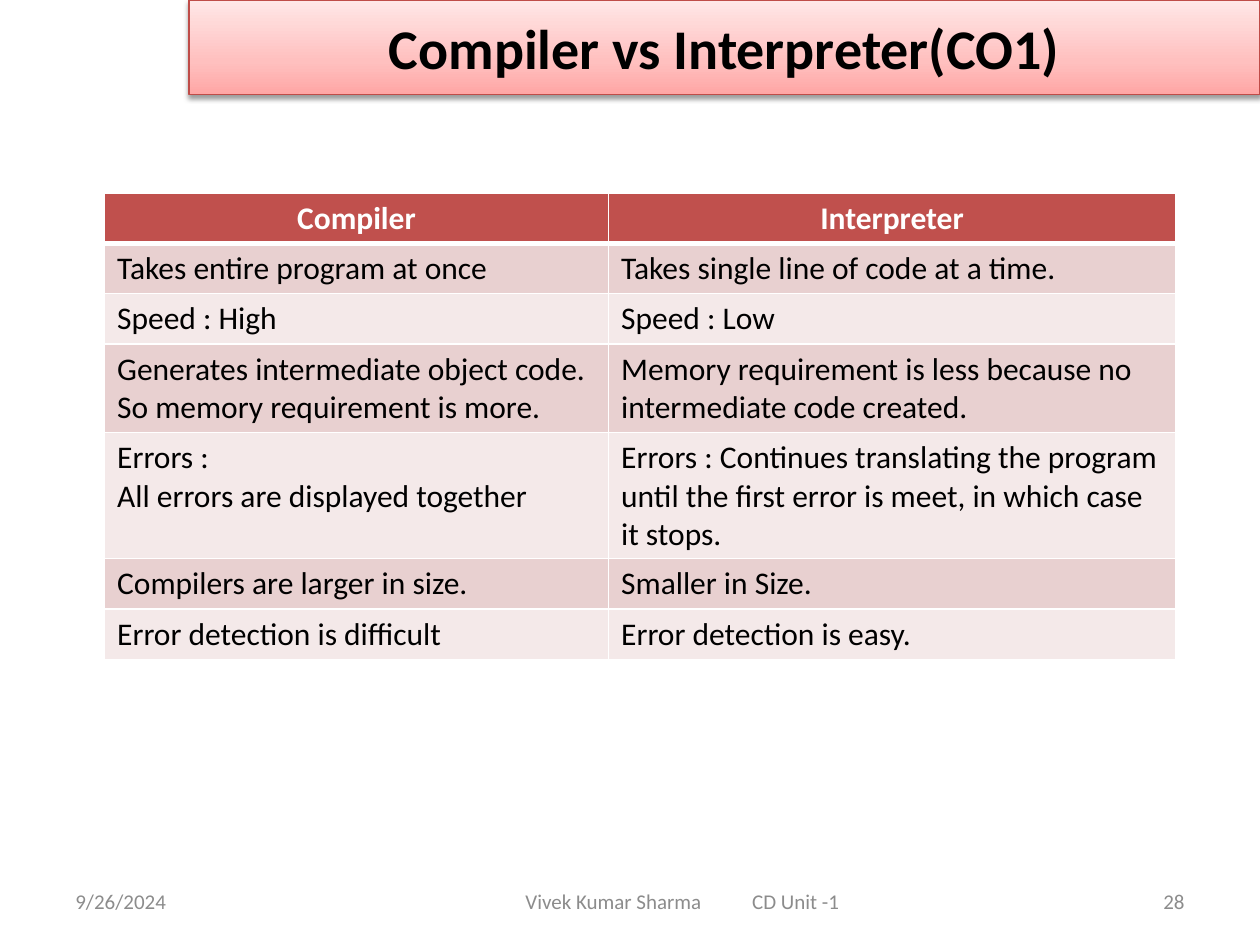
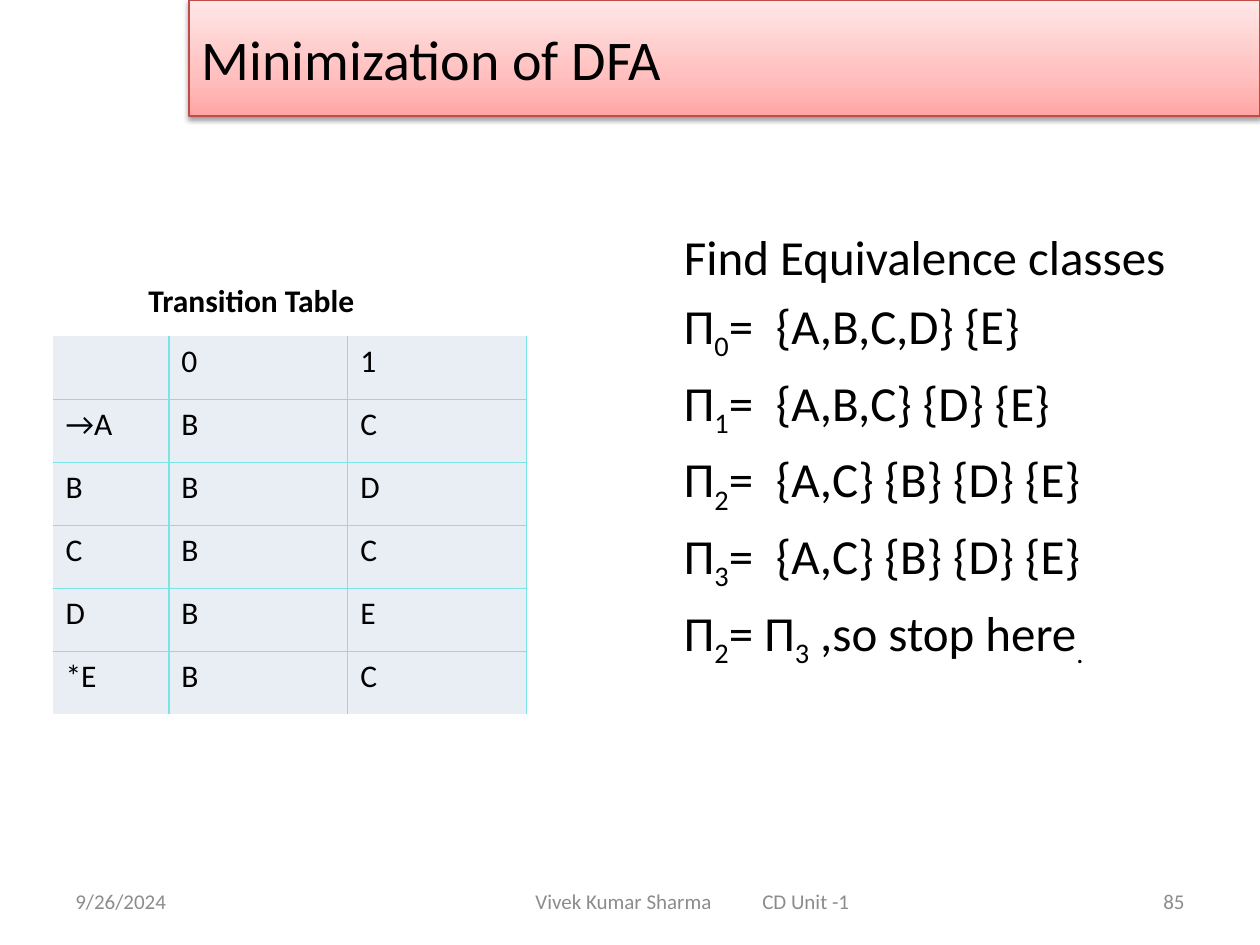
import dataclasses
import typing

import lxml.etree
import pptx
import pptx.dml.color
import pptx.enum.text
import pptx.oxml
import pptx.oxml.ns
import pptx.util

Inches = pptx.util.Inches
Pt = pptx.util.Pt
Align = pptx.enum.text.PP_ALIGN
Anchor = pptx.enum.text.MSO_ANCHOR
qn = pptx.oxml.ns.qn
NS = 'xmlns:a="http://schemas.openxmlformats.org/drawingml/2006/main"'
FONT = "Calibri"
COLORS = {
    "text": "000000",
    "white": "FFFFFF",
    "footer": "8C8C8C",
    "band_line": "BF4C48",
    "header": "C0504D",
    "row_dark": "E8D0D0",
    "row_light": "F4E9E9",
    "grid": "7BE5E5",
    "grid_fill": "E9EDF4",
}
BAND_STOPS = ((0, "FFA6A5"), (35, "FFC0BF"), (100, "FFE7E7"))


@dataclasses.dataclass
class Style:
    size: float
    color: str = "text"
    bold: bool = False
    align: Align = Align.LEFT


@dataclasses.dataclass
class Box:
    left: float
    top: float
    width: float
    height: float

    def emu(self) -> list[int]:
        return [Inches(v) for v in (self.left, self.top, self.width, self.height)]


@dataclasses.dataclass
class Page:
    title: str
    title_style: Style
    band_height: float
    number: str
    footer: Box


@dataclasses.dataclass
class Cell:
    text: str
    style: Style
    fill: str
    borders: dict[str, tuple[str, float]]


FOOTER = Style(12, "footer")
NUMBER = Style(12, "footer", align=Align.RIGHT)
BODY = Style(28)
CELL = Style(18)
CELL_HEADER = Style(18, "white", True, Align.CENTER)
CAPTION = Style(18, bold=True)

COMPARISON = (
    ("Compiler", "Interpreter"),
    ("Takes entire program at once", "Takes single line of code at a time."),
    ("Speed : High", "Speed : Low"),
    ("Generates intermediate object code. So memory requirement is more.",
     "Memory requirement is less because no intermediate code created."),
    ("Errors :\nAll errors are displayed together",
     "Errors : Continues translating the program until the first error is meet, "
     "in which case it stops."),
    ("Compilers are larger in size.", "Smaller in Size."),
    ("Error detection is difficult", "Error detection is easy."),
)
TRANSITIONS = (
    ("", "0", "1"),
    ("→A", "B", "C"),
    ("B", "B", "D"),
    ("C", "B", "C"),
    ("D", "B", "E"),
    ("*E", "B", "C"),
)
EQUIVALENCE_LINES = (
    ("Find Equivalence classes",),
    ("Π", "0", "=\t{A,B,C,D} {E}"),
    ("Π", "1", "=\t{A,B,C} {D} {E}"),
    ("Π", "2", "=\t{A,C} {B} {D} {E}"),
    ("Π", "3", "=\t{A,C} {B} {D} {E}"),
    ("Π", "2", "= Π", "3", " ,so stop here", "."),
)


def rgb(name: str) -> pptx.dml.color.RGBColor:
    return pptx.dml.color.RGBColor.from_string(COLORS[name])


def add_run(p: typing.Any, text: str, style: Style, subscript: bool = False) -> None:
    r = p.add_run()
    r.text = text
    r.font.name = FONT
    r.font.size = Pt(style.size)
    r.font.bold = style.bold
    r.font.color.rgb = rgb(style.color)
    if subscript:
        r.font._element.set("baseline", "-25000")


def add_tab(p: typing.Any, position: float) -> None:
    p._p.get_or_add_pPr().append(pptx.oxml.parse_xml(
        f'<a:tabLst {NS}><a:tab pos="{Inches(position)}" algn="l"/></a:tabLst>'))


def write(tf: typing.Any, text: str, style: Style, tab: float = 0) -> None:
    for i, line in enumerate(text.split("\n")):
        p = tf.add_paragraph() if i else tf.paragraphs[0]
        p.alignment = style.align
        if tab:
            add_tab(p, tab)
        if line:
            add_run(p, line, style)


def add_text_box(s: typing.Any, box: Box, anchor: Anchor = Anchor.TOP,
                 wrap: bool = True) -> typing.Any:
    tf = s.shapes.add_textbox(*box.emu()).text_frame
    tf.word_wrap = wrap
    tf.vertical_anchor = anchor
    return tf


def style_band(sp: typing.Any) -> None:
    sp.fill.gradient()
    sp.fill.gradient_angle = 90
    stops = sp._element.spPr.find(qn("a:gradFill")).find(qn("a:gsLst"))
    for stop in list(stops):
        stops.remove(stop)
    for pos, color in BAND_STOPS:
        gs = lxml.etree.SubElement(stops, qn("a:gs"), pos=str(pos * 1000))
        lxml.etree.SubElement(gs, qn("a:srgbClr"), val=color)
    sp.line.color.rgb = rgb("band_line")
    sp.line.width = Pt(0.75)
    sp._element.spPr.append(pptx.oxml.parse_xml(
        f'<a:effectLst {NS}><a:outerShdw blurRad="{Pt(3.1)}" dist="{Pt(1.6)}" '
        f'dir="5400000" rotWithShape="0"><a:srgbClr val="{COLORS["text"]}">'
        '<a:alpha val="38000"/></a:srgbClr></a:outerShdw></a:effectLst>'))


def add_page(prs: typing.Any, page: Page) -> typing.Any:
    s = prs.slides.add_slide(prs.slide_layouts[5])
    title = s.shapes.title
    title.left, title.top, title.width, title.height = Box(1.5, 0, 8.5, page.band_height).emu()
    style_band(title)
    tf = title.text_frame
    tf.auto_size = pptx.enum.text.MSO_AUTO_SIZE.NONE
    tf.vertical_anchor = Anchor.MIDDLE
    write(tf, page.title, page.title_style)

    write(add_text_box(s, Box(0.5, 6.95, 2.33, 0.4), Anchor.MIDDLE), "9/26/2024", FOOTER)
    write(add_text_box(s, Box(7.17, 6.95, 2.33, 0.4), Anchor.MIDDLE), page.number, NUMBER)
    tf = add_text_box(s, page.footer, Anchor.MIDDLE)
    tf.margin_left = Inches(page.footer.width / 2 - 1.25)
    write(tf, "Vivek Kumar Sharma\tCD Unit -1", FOOTER, tab=1.8)
    return s


def set_borders(cell: typing.Any, borders: dict[str, tuple[str, float]]) -> None:
    tc_pr = cell._tc.get_or_add_tcPr()
    for i, side in enumerate("LRTB"):
        color, width = borders.get(side, ("", 0))
        paint = (f'<a:solidFill><a:srgbClr val="{COLORS[color]}"/></a:solidFill>'
                 if color else "<a:noFill/>")
        tc_pr.insert(i, pptx.oxml.parse_xml(
            f'<a:ln{side} {NS} w="{Pt(width)}">{paint}</a:ln{side}>'))


def add_table(s: typing.Any, left: float, top: float, widths: tuple[float, ...],
              row_height: float, rows: list[list[Cell]]) -> None:
    box = Box(left, top, sum(widths), row_height * len(rows))
    table = s.shapes.add_table(len(rows), len(widths), *box.emu()).table
    table.first_row = False
    table.horz_banding = False
    for column, width in zip(table.columns, widths):
        column.width = Inches(width)
    for i, row in enumerate(rows):
        table.rows[i].height = Inches(row_height)
        for j, item in enumerate(row):
            cell = table.cell(i, j)
            cell.fill.solid()
            cell.fill.fore_color.rgb = rgb(item.fill)
            set_borders(cell, item.borders)
            write(cell.text_frame, item.text, item.style)


def comparison_cell(row: int, text: str) -> Cell:
    borders = {side: ("white", 1) for side in "LRTB"}
    if row == 0:
        return Cell(text, CELL_HEADER, "header", borders | {"B": ("white", 3)})
    if row == 1:
        borders["T"] = ("white", 3)
    return Cell(text, CELL, "row_dark" if row % 2 else "row_light", borders)


def transition_cell(row: int, column: int, text: str) -> Cell:
    shown = {"L": column > 0, "R": True, "T": row > 0, "B": row < len(TRANSITIONS) - 1}
    borders = {side: ("grid", 1) for side, on in shown.items() if on}
    return Cell(text, CELL, "grid_fill", borders)


def add_comparison(prs: typing.Any) -> None:
    s = add_page(prs, Page("Compiler vs Interpreter(CO1)",
                           Style(32, bold=True, align=Align.CENTER),
                           0.75, "28", Box(3.42, 6.95, 4, 0.4)))
    add_table(s, 0.83, 1.53, (4, 4.5), 0.4,
              [[comparison_cell(i, text) for text in row] for i, row in enumerate(COMPARISON)])


def add_minimization(prs: typing.Any) -> None:
    s = add_page(prs, Page("Minimization of DFA", Style(32),
                           0.92, "85", Box(2.75, 6.95, 5.5, 0.4)))
    tf = add_text_box(s, Box(5.33, 1.75, 4.58, 4.95))
    for i, parts in enumerate(EQUIVALENCE_LINES):
        p = tf.add_paragraph() if i else tf.paragraphs[0]
        if i:
            add_tab(p, 0.73)
            p.space_before = Pt(5.6)
        for j, part in enumerate(parts):
            add_run(p, part, BODY, subscript=j % 2 == 1)
    add_table(s, 0.42, 2.67, (0.92, 1.42, 1.42), 0.5,
              [[transition_cell(i, j, text) for j, text in enumerate(row)]
               for i, row in enumerate(TRANSITIONS)])
    write(add_text_box(s, Box(1.08, 2.18, 1.85, 0.4), wrap=False), "Transition Table", CAPTION)


def main() -> None:
    prs = pptx.Presentation()
    prs.slide_width = Inches(10)
    prs.slide_height = Inches(7.5)
    add_comparison(prs)
    add_minimization(prs)
    prs.save("out.pptx")


if __name__ == "__main__":
    main()
